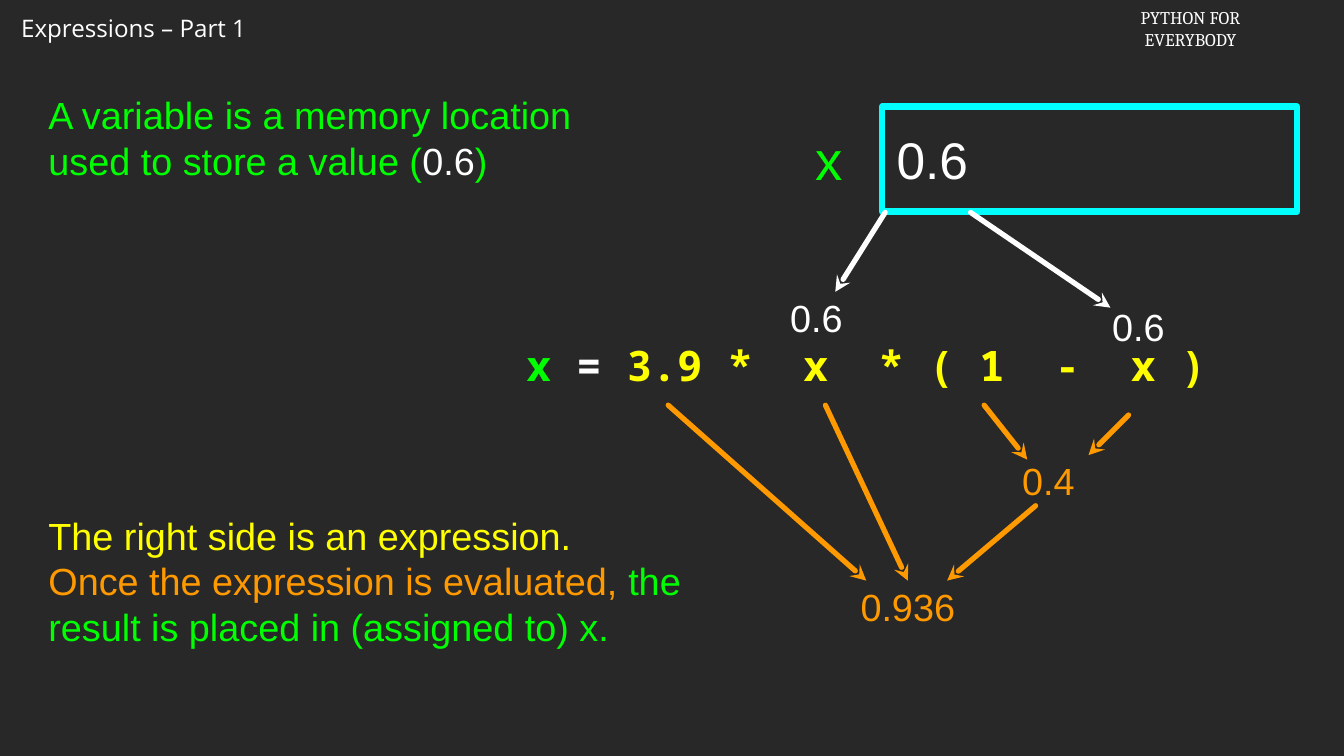
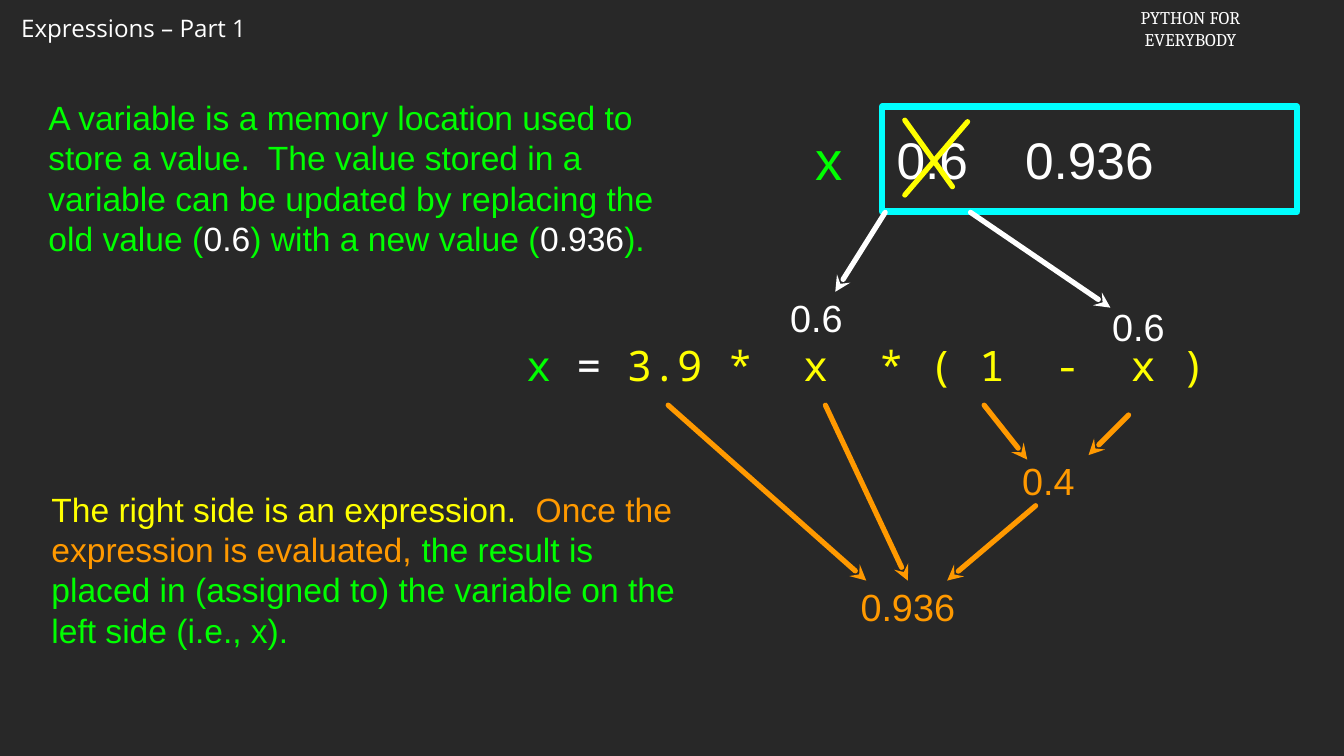
from lxml import etree
from pptx import Presentation
from pptx.dml.color import RGBColor
from pptx.enum.shapes import MSO_CONNECTOR, MSO_SHAPE
from pptx.enum.text import MSO_ANCHOR, MSO_AUTO_SIZE, PP_ALIGN
from pptx.oxml.ns import qn
from pptx.util import Inches, Pt

STRAIGHT = MSO_CONNECTOR.STRAIGHT
RECTANGLE = MSO_SHAPE.RECTANGLE
MIDDLE = MSO_ANCHOR.MIDDLE
NO_AUTOFIT = MSO_AUTO_SIZE.NONE
LEFT, CENTER = PP_ALIGN.LEFT, PP_ALIGN.CENTER

BACKGROUND = "282828"
WHITE = "FFFFFF"
GREEN = "00FF00"
YELLOW = "FFFF00"
ORANGE = "FF9900"
CYAN = "00FFFF"

BODY_FONT = "Arial"
CODE_FONT = "Noto Sans Mono"
TITLE_FONT = "Open Sans"
COURSE_FONT = "Cambria"

TITLE = "Expressions – Part 1"
TITLE_ONLY_LAYOUT = 5
COURSE_LABEL_ID = 20


def color(hex_value):
    """Turn a hex string into a colour."""
    return RGBColor.from_string(hex_value)


def write(frame, *paragraphs, size, font=BODY_FONT, align=LEFT, bold=False,
          wrap=True, margins=(0, 0, 0, 0), tab=None):
    """Fill a text frame with paragraphs of (text, colour) runs."""
    frame.auto_size = NO_AUTOFIT
    frame.word_wrap = wrap
    frame.vertical_anchor = MIDDLE
    (frame.margin_left, frame.margin_top,
     frame.margin_right, frame.margin_bottom) = map(Inches, margins)
    for index, runs in enumerate(paragraphs):
        paragraph = frame.add_paragraph() if index else frame.paragraphs[0]
        paragraph.alignment = align
        if tab:
            stops = etree.SubElement(paragraph._p.get_or_add_pPr(), qn("a:tabLst"))
            etree.SubElement(stops, qn("a:tab"), pos=str(Inches(tab)), algn="l")
        for text, hue in runs:
            if text == "\n":
                paragraph.add_line_break()
                continue
            run = paragraph.add_run()
            run.text = text
            run.font.name = font
            run.font.size = Pt(size)
            run.font.bold = bold
            run.font.color.rgb = color(hue)


class Deck:
    """Holds the shared style and the current slide."""

    def __init__(self, width, height):
        """Start a presentation with a dark master."""
        self.presentation = Presentation()
        self.presentation.slide_width = Inches(width)
        self.presentation.slide_height = Inches(height)
        self.master = self.presentation.slide_master
        fill = self.master.background.fill
        fill.solid()
        fill.fore_color.rgb = color(BACKGROUND)
        self.slide = None

    def new_slide(self):
        """Add a slide with the lecture title, and the course label once."""
        is_first = self.slide is None
        layout = self.presentation.slide_layouts[TITLE_ONLY_LAYOUT]
        self.slide = self.presentation.slides.add_slide(layout)
        title = self.slide.shapes.title
        title.left, title.top = Inches(0.18), Inches(0.12)
        title.width, title.height = Inches(3.35), Inches(0.49)
        write(title.text_frame, [(TITLE, WHITE)], size=23, font=TITLE_FONT,
              wrap=False, margins=(0.1, 0.05, 0.1, 0.05))
        if is_first:
            self.course_label()

    def course_label(self):
        """Place the course name on the master."""
        label = self.text(14.88, 0.04, 1.74, 0.67,
                          [("PYTHON FOR", WHITE)], [("EVERYBODY", WHITE)],
                          size=17, font=COURSE_FONT, align=CENTER, wrap=False)
        label.element.nvSpPr.cNvPr.id = COURSE_LABEL_ID
        self.master.shapes.element.append(label.element)

    def text(self, left, top, width, height, *paragraphs, **style):
        """Add a text box."""
        box = self.slide.shapes.add_textbox(*map(Inches, (left, top, width, height)))
        write(box.text_frame, *paragraphs, **style)
        return box

    def value(self, left, top, width, text, hue):
        """Add a centred number."""
        self.text(left, top, width, 0.68, [(text, hue)], size=36, align=CENTER)

    def memory_cell(self, contents):
        """Add the outlined memory location and its contents."""
        cell = self.slide.shapes.add_shape(
            RECTANGLE, *map(Inches, (11.67, 1.41, 5.49, 1.39)))
        cell.shadow.inherit = False
        cell.fill.background()
        cell.line.color.rgb = color(CYAN)
        cell.line.width = Pt(6)
        write(cell.text_frame, [(contents, WHITE)], size=49,
              margins=(0.19, 0, 0, 0), tab=1.7 if "\t" in contents else None)

    def line(self, start, end, hue, arrow=True):
        """Add a thick round-capped line, with an arrowhead at its end."""
        connector = self.slide.shapes.add_connector(
            STRAIGHT, *map(Inches, (*start, *end)))
        connector.line.color.rgb = color(hue)
        connector.line.width = Pt(5)
        outline = connector.line._get_or_add_ln()
        outline.set("cap", "rnd")
        if arrow:
            etree.SubElement(outline, qn("a:tailEnd"), type="stealth",
                             w="med", len="med")
        etree.SubElement(connector._element.spPr, qn("a:effectLst"))

    def evaluation(self, contents, bold):
        """Draw the memory cell and the step-by-step evaluation."""
        self.text(6.96, 4.2, 9.67, 1.26,
                  [("x ", GREEN), ("= ", WHITE), ("3.9 *  x  * ( 1  -  x )", YELLOW)],
                  size=40, font=CODE_FONT, bold=bold)
        self.memory_cell(contents)
        self.text(10.73, 1.63, 0.49, 0.94, [("x", GREEN)], size=52, align=CENTER)
        for left, top, width, text, hue in (
                (10.31, 3.86, 0.98, "0.6", WHITE),
                (14.48, 3.98, 1.16, "0.6", WHITE),
                (13.29, 6.01, 1.16, "0.4", ORANGE),
                (11.06, 7.68, 1.9, "0.936", ORANGE)):
            self.value(left, top, width, text, hue)
        for start, end, hue in (
                ((11.71, 2.81), (11.05, 3.86), WHITE),
                ((12.84, 2.81), (14.69, 4.07), WHITE),
                ((8.84, 5.36), (11.46, 7.68), ORANGE),
                ((10.92, 5.36), (12.01, 7.68), ORANGE),
                ((13.02, 5.36), (13.59, 6.08), ORANGE),
                ((14.93, 5.49), (14.4, 6.02), ORANGE),
                ((13.7, 6.69), (12.53, 7.68), ORANGE)):
            self.line(start, end, hue)


def storing_slide(deck):
    """Show a value stored in a variable."""
    deck.new_slide()
    deck.evaluation("0.6", bold=True)
    deck.text(0.64, 1.19, 7.19, 1.25,
              [("A variable is a memory location used to store a value (", GREEN),
               ("0.6", WHITE), (")", GREEN)], size=36)
    deck.text(0.64, 6.77, 8.45, 1.82,
              [("The right side is an expression.", YELLOW), ("\n", YELLOW),
               ("Once the expression is evaluated, ", ORANGE),
               ("the result is placed in (assigned to) x.", GREEN)], size=36)


def updating_slide(deck):
    """Show the old value crossed out and replaced."""
    deck.new_slide()
    deck.evaluation("0.6\t0.936", bold=False)
    deck.line((12.8, 1.61), (11.97, 2.58), YELLOW, arrow=False)
    deck.line((11.97, 1.59), (12.6, 2.47), YELLOW, arrow=False)
    deck.text(0.64, 1.17, 8.21, 2.36,
              [("A variable is a memory location used to store a value.  The value "
                "stored in a variable can be updated by replacing the old value (", GREEN),
               ("0.6", WHITE), (") with a new value (", GREEN),
               ("0.936", WHITE), (").", GREEN)], size=32)
    deck.text(0.68, 6.4, 8.38, 2.26,
              [("The right side is an expression.  ", YELLOW),
               ("Once the expression is evaluated, ", ORANGE),
               ("the result is placed in (assigned to) the variable on the left "
                "side (i.e., x).", GREEN)], size=32)


def main():
    """Build and save the slides."""
    deck = Deck(17.78, 10)
    storing_slide(deck)
    updating_slide(deck)
    deck.presentation.save("out.pptx")


if __name__ == "__main__":
    main()
